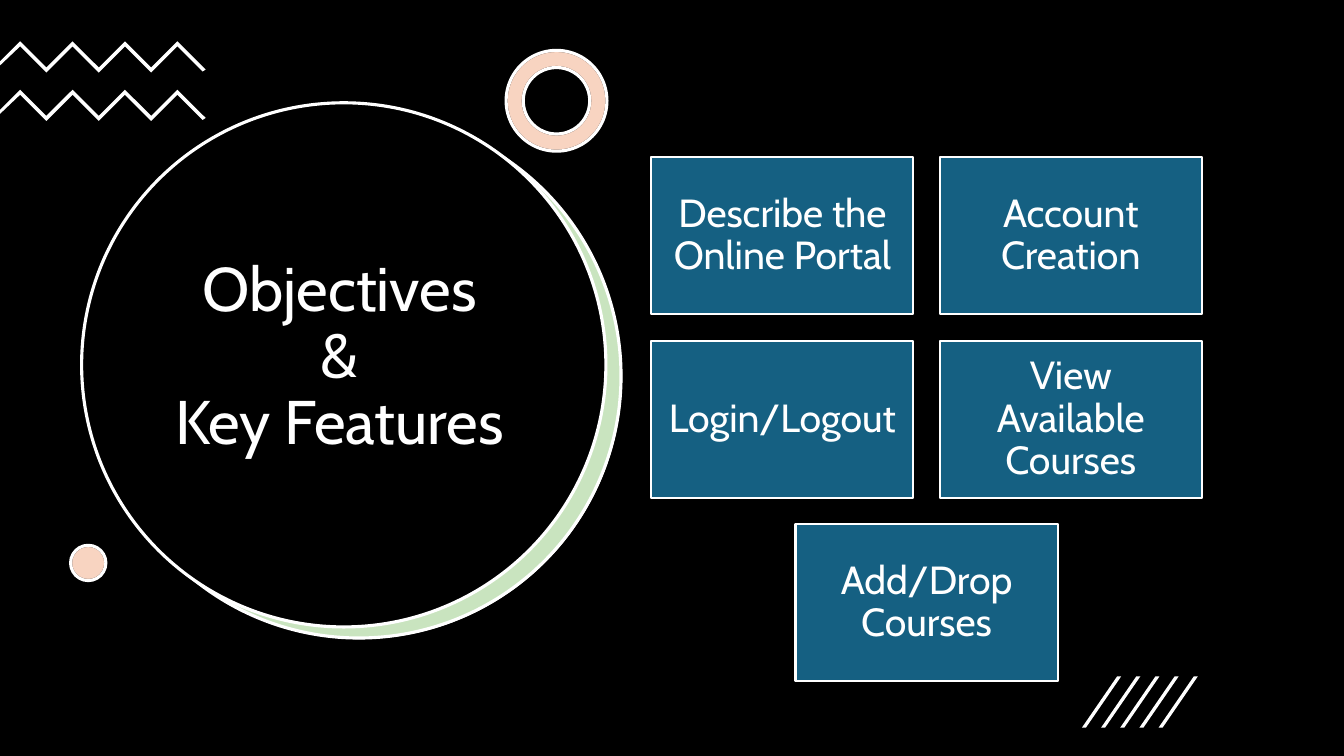
from lxml.etree import SubElement
from pptx import Presentation
from pptx.dml.color import RGBColor
from pptx.enum.shapes import MSO_SHAPE as Preset
from pptx.enum.text import MSO_ANCHOR as Anchor, PP_ALIGN as Align
from pptx.oxml.ns import qn
from pptx.util import Inches, Pt

BLACK, WHITE, BLUE, GREEN, ORANGE = "000000", "FFFFFF", "156082", "4EA72E", "E97132"
FEATURES = ["Describe the Online Portal", "Account Creation", "Login/Logout",
            "View Available Courses", "Add/Drop Courses"]


def color(value):
    """Turn a hex string into a colour."""
    return RGBColor.from_string(value)


def paint(shape, fill, line=None, weight=2.25, opacity=None):
    """Set the fill, outline and opacity of a shape."""
    shape.shadow.inherit = False
    shape.fill.solid()
    shape.fill.fore_color.rgb = color(fill)
    if opacity is not None:
        solid = shape.fill._xPr.find(qn("a:solidFill"))
        SubElement(solid[0], qn("a:alpha"), val=str(opacity * 1000))
    if line:
        shape.line.color.rgb = color(line)
        shape.line.width = Pt(weight)
    else:
        shape.line.fill.background()


def add_preset(shapes, preset, box, fill, **style):
    """Add a painted preset shape in a box given in inches."""
    shape = shapes.add_shape(preset, *map(Inches, box))
    paint(shape, fill, **style)
    return shape


def write_text(shape, text, size, margins):
    """Write centred white text into a shape."""
    frame = shape.text_frame
    sides = ("margin_left", "margin_top", "margin_right", "margin_bottom")
    frame_format = {"word_wrap": True, "vertical_anchor": Anchor.MIDDLE}
    frame_format.update(zip(sides, map(Inches, margins)))
    paragraph = frame.paragraphs[0]
    paragraph.text = text
    formats = [
        (frame, frame_format),
        (paragraph, {"alignment": Align.CENTER, "line_spacing": 0.9}),
    ]
    for run in paragraph.runs:
        formats.append((run.font, {"name": "Cabin", "size": Pt(size)}))
        run.font.color.rgb = color(WHITE)
    for target, values in formats:
        for name, value in values.items():
            setattr(target, name, value)


def add_title_circle(slide, left, top, size):
    """Draw the title disc with its green crescent and text."""
    shapes = slide.shapes
    add_preset(shapes, Preset.OVAL, (left + 0.16, top + 0.12, size, size), WHITE)
    add_preset(shapes, Preset.OVAL, (left + 0.15, top + 0.11, size, size), GREEN,
               line=WHITE, opacity=30)
    add_preset(shapes, Preset.OVAL, (left, top, size, size), BLACK, line=WHITE)
    title = shapes.add_textbox(*map(Inches, (left - 0.04, top + 0.77, size, 3.52)))
    write_text(title, "Objectives\v&\vKey Features", 44, (0.1, 0.05, 0.1, 0.05))


def add_zigzags(slide, top, pitch, count):
    """Draw zigzag bands that start at the left slide edge."""
    group = slide.shapes.add_group_shape()
    step, thickness = 0.26, 0.05
    peaks = [(0.2 + step * i, step * (i % 2)) for i in range(7)]
    lower_edge = [(x, y + thickness) for x, y in reversed(peaks)]
    outline = peaks + [(2.04, 0.28), (2.01, 0.3)] + lower_edge + [(0, 0.24), (0, 0.2)]
    for row in range(count):
        points = [(Inches(x), Inches(top + row * pitch + y)) for x, y in outline]
        builder = group.shapes.build_freeform(*points[0], scale=1.0)
        builder.add_line_segments(points[1:], close=True)
        paint(builder.convert_to_shape(), WHITE)


def add_accent(slide, preset, left, top, size, thickness=None):
    """Draw a peach accent as a tint over a white base."""
    box = (left, top, size, size)
    base = add_preset(slide.shapes, preset, box, WHITE, line=BLACK)
    tint = add_preset(slide.shapes, preset, box, ORANGE, line=WHITE, opacity=30)
    if thickness:
        for shape in (base, tint):
            shape.adjustments[0] = thickness / size


def add_feature_cards(slide, left, top, features):
    """Lay out feature cards in two columns and centre a lone last card."""
    group = slide.shapes.add_group_shape()
    width, height, gap = 2.6, 1.56, 0.26
    for index, feature in enumerate(features):
        row, column = divmod(index, 2)
        if column == 0 and index == len(features) - 1:
            column = 0.5
        box = (left + column * (width + gap), top + row * (height + gap), width, height)
        card = add_preset(group.shapes, Preset.RECTANGLE, box, BLUE, line=WHITE, weight=1.5)
        write_text(card, feature, 28, (0.12,) * 4)


def add_slashes(slide, left, top, count):
    """Draw a row of slanted strokes."""
    group = slide.shapes.add_group_shape()
    width, height, pitch, stroke = 0.39, 0.51, 0.19, 0.04
    for index in range(count):
        box = (left + index * pitch, top, width, height)
        slash = add_preset(group.shapes, Preset.PARALLELOGRAM, box, WHITE)
        slash.adjustments[0] = (width - stroke) / width


def build_objectives_slide(presentation):
    """Build the objectives and key features slide."""
    slide = presentation.slides.add_slide(presentation.slide_layouts[6])
    add_preset(slide.shapes, Preset.RECTANGLE, (0, 0, 13.33, 7.5), BLACK)
    add_title_circle(slide, 0.81, 1.02, 5.2)
    add_zigzags(slide, 0.41, 0.48, 2)
    add_accent(slide, Preset.DONUT, 5.02, 0.5, 1, thickness=0.17)
    add_accent(slide, Preset.OVAL, 0.7, 5.41, 0.35)
    add_feature_cards(slide, 6.46, 1.56, FEATURES)
    add_slashes(slide, 10.73, 6.71, 5)


def main():
    """Create and save the presentation."""
    presentation = Presentation()
    presentation.slide_width = Inches(13.33)
    presentation.slide_height = Inches(7.5)
    build_objectives_slide(presentation)
    presentation.save("out.pptx")


if __name__ == "__main__":
    main()
